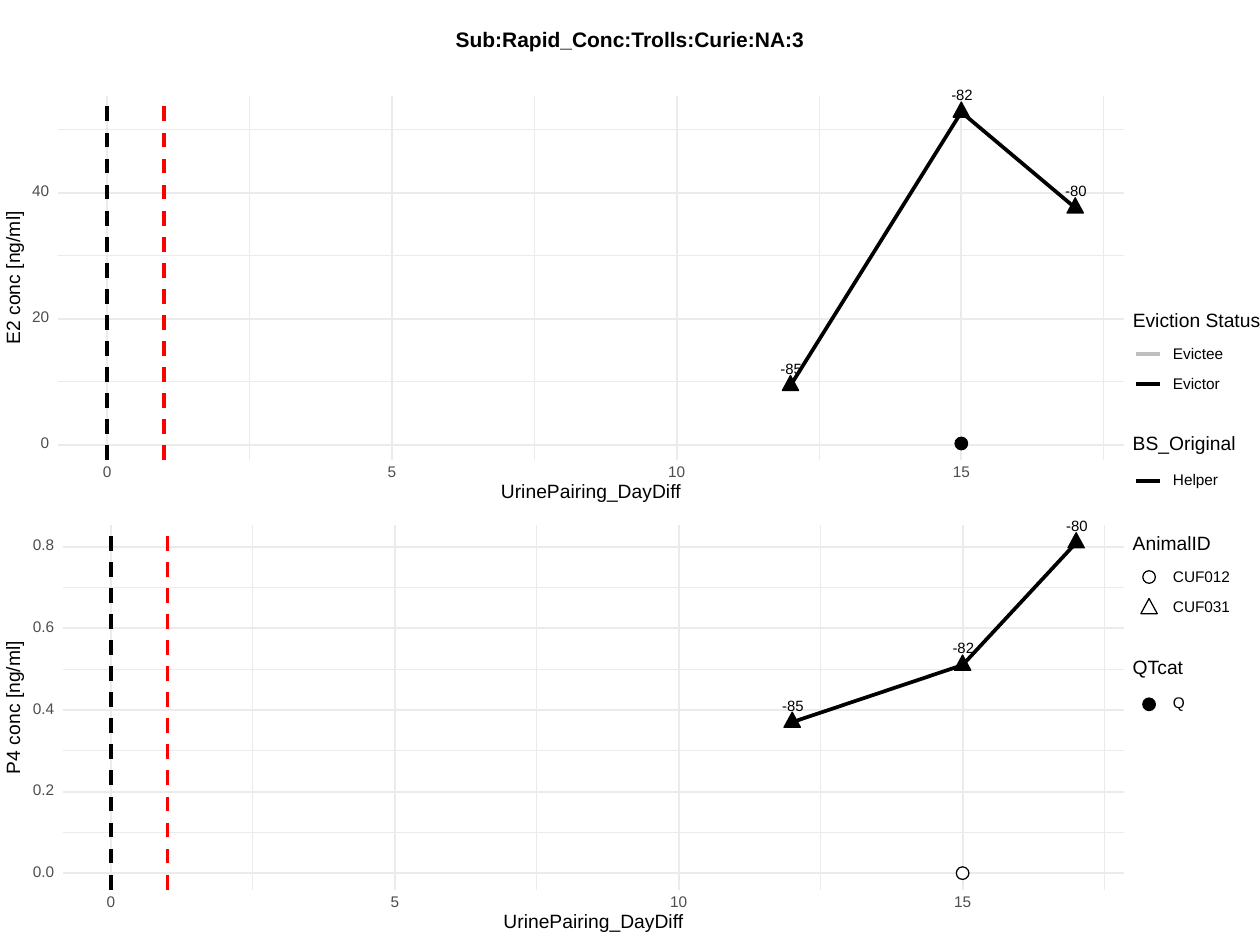
from dataclasses import dataclass
from typing import Optional

from lxml.etree import SubElement
from pptx import Presentation
from pptx.dml.color import RGBColor as Rgb
from pptx.enum.dml import MSO_LINE as Dash
from pptx.enum.shapes import MSO_CONNECTOR as Conn, MSO_SHAPE as Kind
from pptx.enum.text import MSO_ANCHOR as Anchor, PP_ALIGN as Align
from pptx.oxml.ns import qn
from pptx.util import Inches, Pt


@dataclass(frozen=True)
class Theme:
    font: str = "Arial"
    black: str = "000000"
    white: str = "FFFFFF"
    red: str = "FF0000"
    grey: str = "BEBEBE"
    grid: str = "EBEBEB"
    tick: str = "4D4D4D"
    head: float = 12
    axis: float = 11
    label: float = 8.8
    note: float = 8.5
    thin: float = 0.53
    major: float = 1.07
    edge: float = 0.71
    thick: float = 2.13


@dataclass(frozen=True)
class Panel:
    name: str
    left: float
    top: float
    zero: float
    day15: float
    base: float
    peak: float
    high: float
    ticks: tuple[str, ...]
    minor: tuple[float, ...]
    data: tuple[tuple[int, float, str], ...]
    dot: float
    fill: str

    def x(self, day: float) -> float:
        return self.zero + (self.day15 - self.zero) * day / 15

    def y(self, val: float) -> float:
        return self.base - (self.base - self.peak) * val / self.high


@dataclass(frozen=True)
class Item:
    name: str
    mark: str
    y: float
    mid: float
    color: str = "000000"
    fill: Optional[str] = None


@dataclass(frozen=True)
class Legend:
    name: str
    mid: float
    width: float
    items: tuple[Item, ...]


T = Theme()
RIGHT, TALL, PAD = 8.92, 2.89, 0.04
SHIFT = {Align.LEFT: 0, Align.CENTER: PAD / 2, Align.RIGHT: PAD}
WIDE = {1: 0.07, 2: 0.14, 3: 0.17}
PANELS = (
    Panel("E2 conc [ng/ml]", 0.46, 0.76, 0.85, 7.63, 3.53, 1.53, 40,
          ("0", "20", "40"), (10, 30, 50),
          ((12, 9.4, "-85"), (15, 52.8, "-82"), (17, 37.6, "-80")),
          0.2, T.black),
    Panel("P4 conc [ng/ml]", 0.5, 4.17, 0.88, 7.64, 6.93, 4.34, 0.8,
          ("0.0", "0.2", "0.4", "0.6", "0.8"), (0.1, 0.3, 0.5, 0.7),
          ((12, 0.37, "-85"), (15, 0.51, "-82"), (17, 0.81, "-80")),
          0, T.white),
)
LEGENDS = (
    Legend("Eviction Status", 2.55, 1.01, (
        Item("Evictee", "line", 2.81, 2.81, T.grey),
        Item("Evictor", "line", 3.05, 3.05))),
    Legend("BS_Original", 3.53, 0.82, (
        Item("Helper", "line", 3.82, 3.81),)),
    Legend("AnimalID", 4.32, 0.62, (
        Item("CUF012", "dot", 4.58, 4.58),
        Item("CUF031", "tri", 4.83, 4.82))),
    Legend("QTcat", 5.31, 0.42, (
        Item("Q", "dot", 5.59, 5.58, fill=T.black),)),
)

deck = Presentation()
deck.slide_width, deck.slide_height = Inches(10), Inches(7.5)
slide = deck.slides.add_slide(deck.slide_layouts[5])
shapes = slide.shapes


def text(words: str, x: float, y: float, w: float, h: float = 0.09, *,
         size: float = T.label, color: str = T.black, bold: bool = False,
         align: Align = Align.CENTER, turn: float = 0, box=None) -> None:
    area = [Inches(v) for v in (x - SHIFT[align], y, w + PAD, h)]
    if box is None:
        box = shapes.add_textbox(*area)
    box.left, box.top, box.width, box.height = area
    box.rotation = turn
    frame = box.text_frame
    frame.word_wrap = False
    frame.vertical_anchor = Anchor.MIDDLE
    frame.margin_left = frame.margin_right = 0
    frame.margin_top = frame.margin_bottom = 0
    para = frame.paragraphs[0]
    para.alignment, para.line_spacing = align, Pt(size)
    run = para.add_run()
    run.text = words
    font = run.font
    font.name, font.size, font.bold = T.font, Pt(size), bold
    font.color.rgb = Rgb.from_string(color)


def line(x1: float, y1: float, x2: float, y2: float, color: str,
         width: float, dash: Optional[Dash] = None) -> None:
    rule = shapes.add_connector(
        Conn.STRAIGHT, Inches(x1), Inches(y1), Inches(x2), Inches(y2))
    rule.line.color.rgb = Rgb.from_string(color)
    rule.line.width = Pt(width)
    if dash:
        rule.line.dash_style = dash
    SubElement(rule.element.spPr, qn("a:effectLst"))


def paint(shape, fill: Optional[str], color: str, width: float) -> None:
    shape.shadow.inherit = False
    if fill:
        shape.fill.solid()
        shape.fill.fore_color.rgb = Rgb.from_string(fill)
    else:
        shape.fill.background()
    shape.line.color.rgb = Rgb.from_string(color)
    shape.line.width = Pt(width)


def trace(spots: list[tuple[float, float]], close: bool,
          fill: Optional[str], width: float) -> None:
    spots = [(Inches(x), Inches(y)) for x, y in spots]
    pen = shapes.build_freeform(*spots[0])
    pen.add_line_segments(spots[1:], close=close)
    paint(pen.convert_to_shape(), fill, T.black, width)


def tri(x: float, y: float, fill: Optional[str]) -> None:
    trace([(x, y - 0.08), (x + 0.065, y + 0.04), (x - 0.065, y + 0.04)],
          True, fill, T.edge)


def dot(x: float, y: float, fill: Optional[str]) -> None:
    disc = shapes.add_shape(Kind.OVAL, Inches(x - 0.05), Inches(y - 0.05),
                            Inches(0.1), Inches(0.1))
    paint(disc, fill, T.black, T.edge)


def plot(p: Panel) -> None:
    foot = p.top + TALL
    majors = [float(t) for t in p.ticks]
    days = (0, 5, 10, 15)
    for vals, cols, width in ((p.minor, (2.5, 7.5, 12.5, 17.5), T.thin),
                              (majors, days, T.major)):
        for val in vals:
            line(p.left, p.y(val), RIGHT, p.y(val), T.grid, width)
        for day in cols:
            line(p.x(day), foot, p.x(day), p.top, T.grid, width)
    spots = [(p.x(day), p.y(val)) for day, val, _ in p.data]
    trace(spots, False, None, T.thick)
    for x, y in spots:
        tri(x, y, T.black)
    dot(p.x(15), p.y(p.dot), p.fill)
    for (x, y), (_, _, note) in zip(spots, p.data):
        text(note, x - 0.08, y - 0.17, 0.17, size=T.note)
    for day, color in ((0, T.black), (1, T.red)):
        line(p.x(day), foot, p.x(day), p.top, color, T.thick, Dash.DASH)
    for tick in p.ticks:
        wide = WIDE[len(tick)]
        text(tick, p.left - 0.07 - wide, p.y(float(tick)) - 0.05, wide,
             color=T.tick, align=Align.RIGHT)
    for day in days:
        wide = WIDE[len(str(day))]
        text(str(day), p.x(day) - wide / 2, foot + 0.06, wide, color=T.tick)
    text("UrinePairing_DayDiff", (p.left + RIGHT - 1.43) / 2, foot + 0.19,
         1.43, 0.14, size=T.axis)
    text(p.name, -0.41, p.top + TALL / 2 - 0.07, 1.05, 0.14,
         size=T.axis, turn=270)


def key(group: Legend) -> None:
    text(group.name, 8.99, group.mid - 0.06, group.width, 0.12,
         size=T.axis, align=Align.LEFT)
    for item in group.items:
        if item.mark == "line":
            line(9.02, item.y, 9.21, item.y, item.color, T.thick)
        else:
            draw = tri if item.mark == "tri" else dot
            draw(9.12, item.y, item.fill)
        text(item.name, 9.31, item.mid - 0.04, 0.46, align=Align.LEFT)


back = shapes.add_shape(Kind.RECTANGLE, 0, 0, deck.slide_width, deck.slide_height)
paint(back, T.white, T.white, 0.75)
shapes.title.element.addprevious(back.element)
text("Sub:Rapid_Conc:Trolls:Curie:NA:3", 3.61, 0.25, 2.78, 0.15,
     size=T.head, bold=True, box=shapes.title)
for panel in PANELS:
    plot(panel)
for group in LEGENDS:
    key(group)
deck.save("out.pptx")
